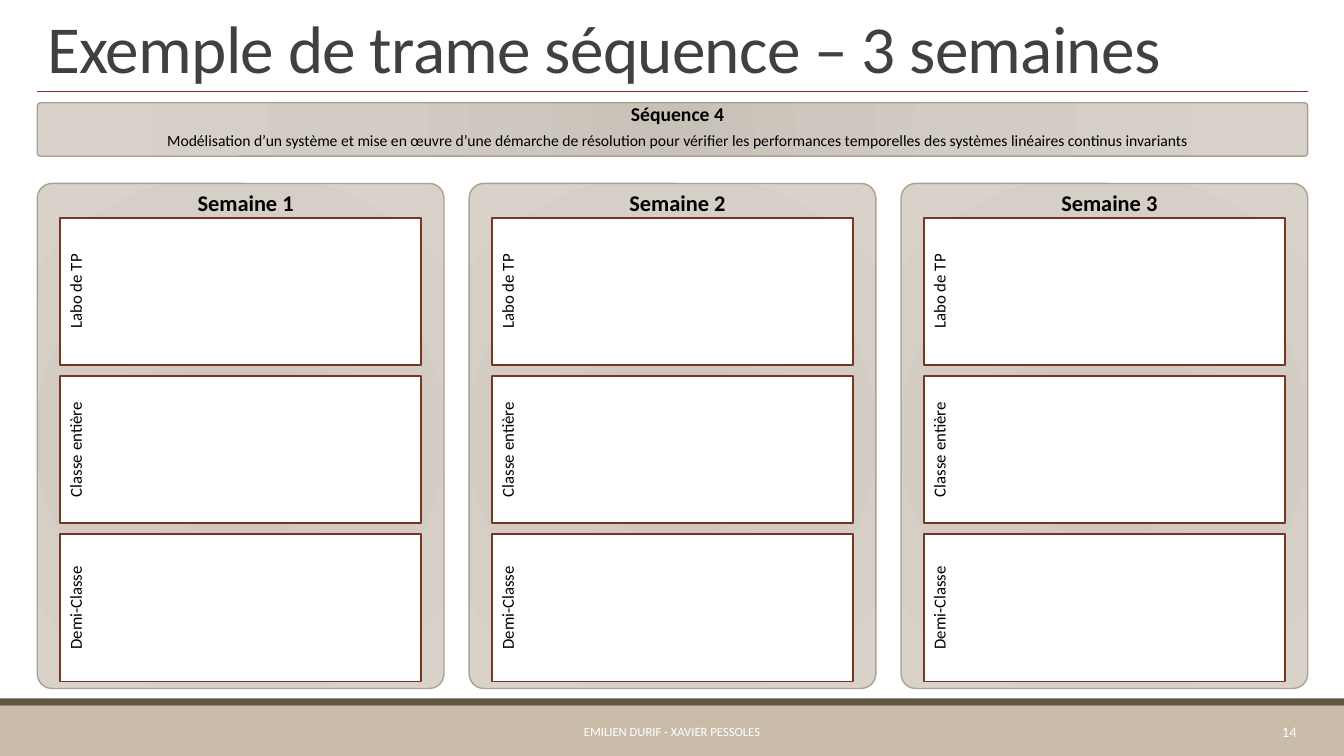
import pptx
import pptx.util
import pptx.oxml
import pptx.oxml.ns
import pptx.dml.color
import pptx.enum.shapes
import pptx.enum.text

Inches = pptx.util.Inches
Points = pptx.util.Pt
Shapes = pptx.enum.shapes.MSO_SHAPE
Align = pptx.enum.text.PP_ALIGN
Anchor = pptx.enum.text.MSO_ANCHOR

COLORS = {
    "white": "FFFFFF", "black": "000000", "title": "404040",
    "footer": "C9BDA9", "stripe": "62553E", "accent": "7B3421",
    "border": "ABA091", "inner": "C8C1B8", "middle": "D2CCC5", "outer": "D8D2CA",
}
WIDTH, HEIGHT = 13.33, 7.5
MARGIN, CONTENT_WIDTH = 0.37, 12.6
WEEKS = ["Semaine 1", "Semaine 2", "Semaine 3"]
ACTIVITIES = ["Labo de TP", "Classe entière", "Demi-Classe"]
WEEK_GAP = 0.25
ACTIVITY_WIDTH, ACTIVITY_HEIGHT, ACTIVITY_PITCH = 3.58, 1.46, 1.57
HEADING_HEIGHT = 0.34


def color(name):
    """Return the palette colour with this name."""
    return pptx.dml.color.RGBColor.from_string(COLORS[name])


def set_values(target, values):
    """Set every attribute of the target from a dict."""
    for name, value in values.items():
        setattr(target, name, value)


def write(shape, text, size, color_name="black", bold=False, first=True, **layout):
    """Write one formatted paragraph into the shape and return it."""
    frame = shape.text_frame
    frame.word_wrap = True
    paragraph = frame.paragraphs[0] if first else frame.add_paragraph()
    set_values(paragraph, {"alignment": Align.CENTER, **layout})
    run = paragraph.add_run()
    run.text = text
    set_values(run.font, {"name": "Calibri", "size": Points(size), "bold": bold})
    run.font.color.rgb = color(color_name)
    return paragraph


def add_box(slide, kind, box, fill=None, line=None, line_width=1):
    """Add a flat shape in the box with an optional fill and outline."""
    shape = slide.shapes.add_shape(kind, *map(Inches, box))
    shape.shadow.inherit = False
    if fill:
        shape.fill.solid()
        shape.fill.fore_color.rgb = color(fill)
    if line:
        shape.line.color.rgb = color(line)
        shape.line.width = Points(line_width)
    else:
        shape.line.fill.background()
    return shape


def add_label(slide, box, text, size, color_name, anchor, **layout):
    """Add a text box and return its paragraph."""
    label = slide.shapes.add_textbox(*map(Inches, box))
    label.text_frame.vertical_anchor = anchor
    return write(label, text, size, color_name, **layout)


def add_panel(slide, box, rounding):
    """Add a rounded panel with a circular beige gradient."""
    panel = add_box(slide, Shapes.ROUNDED_RECTANGLE, box, line="border")
    panel.adjustments[0] = rounding
    stops = "".join(
        f'<a:gs pos="{position}000"><a:srgbClr val="{COLORS[name]}"/></a:gs>'
        for position, name in [(0, "inner"), (45, "middle"), (100, "outer")])
    gradient = pptx.oxml.parse_xml(
        f'<a:gradFill {pptx.oxml.ns.nsdecls("a")} rotWithShape="1"><a:gsLst>{stops}</a:gsLst>'
        '<a:path path="circle"><a:fillToRect l="100000" t="100000" r="100000" b="100000"/>'
        '</a:path></a:gradFill>')
    properties = panel.element.spPr
    properties.find(pptx.oxml.ns.qn("a:prstGeom")).addnext(gradient)
    set_values(panel.text_frame, {
        "margin_left": 0, "margin_right": 0, "margin_top": Inches(0.05),
        "margin_bottom": Inches(0.05), "vertical_anchor": Anchor.TOP})
    return panel


def write_heading(panel, text, size, spacing, before=12, **options):
    """Write a slightly indented heading line into a panel."""
    paragraph = write(panel, text, size, line_spacing=spacing, space_before=Points(before),
                      space_after=Points(2), **options)
    paragraph._p.get_or_add_pPr().set("marL", str(Inches(0.1)))


def add_footer(slide, box):
    """Add the footer band with the authors and the page number."""
    left, top, width, height = box
    add_box(slide, Shapes.RECTANGLE, box, "footer")
    add_box(slide, Shapes.RECTANGLE, (left, top - 0.07, width, 0.07), "stripe")
    add_label(slide, (left + 2.73, top + 0.06, 7.87, 0.4), "EMILIEN DURIF - XAVIER PESSOLES",
              9, "white", Anchor.MIDDLE)
    add_label(slide, (left + 11.39, top + 0.06, 1.57, 0.4), "14", 10.5, "white",
              Anchor.MIDDLE, alignment=Align.RIGHT)


def add_title(slide, box):
    """Add the title and the rule under it."""
    left, top, width, height = box
    bottom = top + height
    rule = slide.shapes.add_connector(
        pptx.enum.shapes.MSO_CONNECTOR.STRAIGHT,
        *map(Inches, (left, bottom, left + width, bottom)))
    rule.line.color.rgb = color("accent")
    rule.line.width = Points(0.5)
    rule.element.spPr.append(
        pptx.oxml.parse_xml(f'<a:effectLst {pptx.oxml.ns.nsdecls("a")}/>'))
    paragraph = add_label(slide, box, "Exemple de trame séquence – 3 semaines", 48, "title",
                          Anchor.BOTTOM, alignment=Align.LEFT, line_spacing=0.85)
    paragraph.runs[0].font._element.set("spc", "-50")


def add_sequence(slide, box):
    """Add the banner that names the sequence."""
    banner = add_panel(slide, box, 0.061)
    write_heading(banner, "Séquence 4", 14, 0.7, bold=True)
    write_heading(
        banner,
        "Modélisation d’un système et mise en œuvre d’une démarche de résolution pour vérifier "
        "les performances temporelles des systèmes linéaires continus invariants",
        11.2, 0.7, before=6, first=False)


def add_activity(slide, box, text):
    """Add a white box whose label reads upwards along its left edge."""
    left, top, width, height = box
    shift = (width - height) / 2
    activity = add_box(slide, Shapes.RECTANGLE, (left + shift, top - shift, height, width),
                       "white", "accent", 1.25)
    activity.rotation = 270
    activity.text_frame.vertical_anchor = Anchor.TOP
    write(activity, text, 12)


def add_week(slide, box, name):
    """Add one week panel with its stacked activities."""
    left, top, width, height = box
    write_heading(add_panel(slide, box, 0.036), name, 16, 0.9, bold=True)
    for row, text in enumerate(ACTIVITIES):
        add_activity(slide, (left + (width - ACTIVITY_WIDTH) / 2,
                             top + HEADING_HEIGHT + row * ACTIVITY_PITCH,
                             ACTIVITY_WIDTH, ACTIVITY_HEIGHT), text)


def add_weeks(slide, box):
    """Split the box into one equal column per week."""
    left, top, width, height = box
    column = (width - WEEK_GAP * (len(WEEKS) - 1)) / len(WEEKS)
    for index, name in enumerate(WEEKS):
        add_week(slide, (left + index * (column + WEEK_GAP), top, column, height), name)


def main():
    """Build the slide and save the presentation."""
    presentation = pptx.Presentation()
    set_values(presentation, {"slide_width": Inches(WIDTH), "slide_height": Inches(HEIGHT)})
    slide = presentation.slides.add_slide(presentation.slide_layouts[6])
    add_footer(slide, (0, 7, WIDTH, HEIGHT - 7))
    add_title(slide, (MARGIN, 0.04, CONTENT_WIDTH, 0.87))
    add_sequence(slide, (MARGIN, 1.02, CONTENT_WIDTH, 0.53))
    add_weeks(slide, (MARGIN, 1.82, CONTENT_WIDTH, 5.01))
    presentation.save("out.pptx")


if __name__ == "__main__":
    main()
